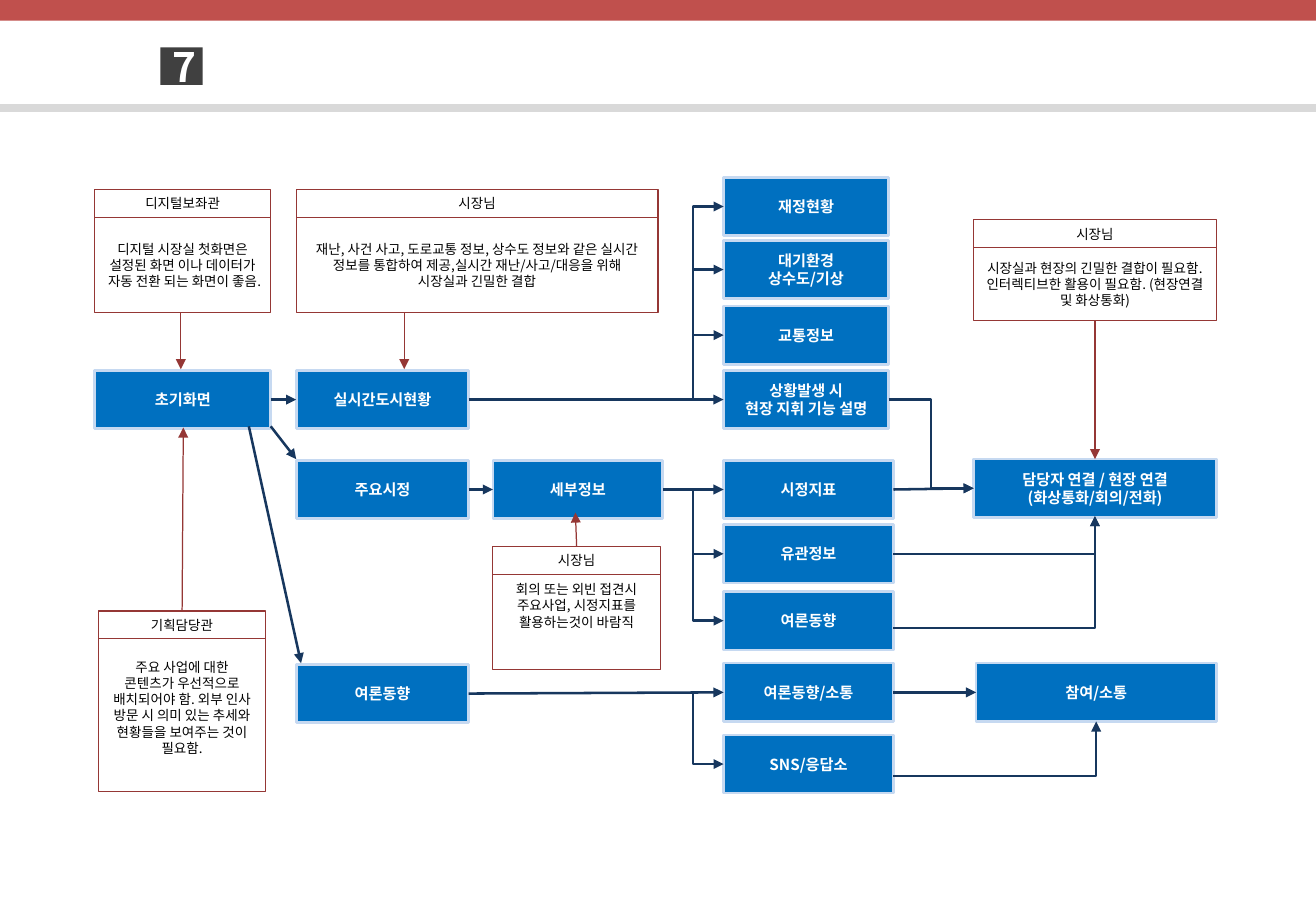
import pptx
import pptx.dml.color
import pptx.enum.shapes
import pptx.enum.text
import pptx.oxml.ns
import pptx.util
from dataclasses import dataclass
from lxml import etree

WIDTH, HEIGHT = 10.84, 7.5


@dataclass(frozen=True)
class Theme:
    font: str = "Noto Sans CJK KR"
    band: str = "C0504D"
    rule: str = "D9D9D9"
    badge: str = "404040"
    step: str = "0070C0"
    step_edge: str = "C6D9F1"
    flow: str = "17375E"
    note: str = "953735"
    light: str = "FFFFFF"
    dark: str = "000000"
    number_size: int = 24
    step_size: int = 9
    note_size: int = 8


THEME = Theme()
NUMBER = "7"

# Column: left, width
COLUMNS = {"start": (0.78, 1.45), "menu": (2.44, 1.42), "detail": (4.06, 1.4),
           "city": (5.96, 1.36), "topic": (5.96, 1.4),
           "contact": (8.02, 2), "join": (8.04, 1.98)}
STEP_H, HEAD_H = 0.48, 0.23
TRUNK = 5.71

# Step: column, top, lines
STEPS = {
    "start": ("start", 3.05, ["초기화면"]),
    "realtime": ("menu", 3.05, ["실시간도시현황"]),
    "policy": ("menu", 3.79, ["주요시정"]),
    "opinion": ("menu", 5.47, ["여론동향"]),
    "detail": ("detail", 3.79, ["세부정보"]),
    "finance": ("city", 1.46, ["재정현황"]),
    "air": ("city", 1.98, ["대기환경", "상수도/기상"]),
    "traffic": ("city", 2.52, ["교통정보"]),
    "incident": ("city", 3.05, ["상황발생 시", "현장 지휘 기능 설명"]),
    "index": ("topic", 3.79, ["시정지표"]),
    "related": ("topic", 4.32, ["유관정보"]),
    "trend": ("topic", 4.87, ["여론동향"]),
    "talk": ("topic", 5.46, ["여론동향/소통"]),
    "sns": ("topic", 6.05, ["SNS/응답소"]),
    "contact": ("contact", 3.78, ["담당자 연결 / 현장 연결", "(화상통화/회의/전화)"]),
    "join": ("join", 5.46, ["참여/소통"]),
}

# Note: left, top, width, body height, bottom inset, heading, lines
NOTES = [
    (8.02, 1.81, 2, 0.6, 0.05, "시장님",
     ["시장실과 현장의 긴밀한 결합이 필요함.인터렉티브한 활용이 필요함. (현장연결 및 화상통화)"]),
    (0.78, 1.56, 1.45, 0.78, 0.05, "디지털보좌관",
     ["디지털 시장실 첫화면은 설정된 화면 이나 데이터가 자동 전환 되는 화면이 좋음."]),
    (2.44, 1.56, 2.98, 0.78, 0.05, "시장님",
     ["재난, 사건 사고, 도로교통 정보, 상수도 정보와 같은 실시간 정보를 통합하여 제공,"
      "실시간 재난/사고/대응을 위해 시장실과 긴밀한 결합"]),
    (4.06, 4.5, 1.38, 0.78, 0.32, "시장님",
     ["회의 또는 외빈 접견시", "주요사업, 시정지표를", "활용하는것이 바람직"]),
    (0.81, 5.03, 1.38, 1.26, 0.18, "기획담당관",
     ["주요 사업에 대한 콘텐츠가 우선적으로 배치되어야 함. 외부 인사 방문 시 의미 있는 "
      "추세와 현황들을 보여주는 것이 필요함."]),
]

STRAIGHT_FLOWS = [("start", "realtime"), ("realtime", "incident"), ("policy", "detail"),
                  ("detail", "index"), ("opinion", "talk"), ("index", "contact"),
                  ("talk", "join")]
SLANTED_FLOWS = [((2.23, 3.51), (2.44, 3.78)), ((2.05, 3.51), (2.48, 5.46))]
BRANCHES = {"incident": ["finance", "air", "traffic"], "index": ["related", "trend"],
            "talk": ["sns"]}
# Return: start height, end
RETURNS = [(4.56, (9.02, 4.25)), (5.17, (9.02, 4.25)), (6.39, (9.03, 5.94))]
NOTE_ARROWS = [((9.02, 2.64), (9.02, 3.78)), ((3.33, 2.57), (3.33, 3.04)),
               ((1.49, 2.57), (1.49, 3.04)), ((4.75, 4.5), (4.74, 4.22)),
               ((1.5, 5.03), (1.51, 3.52))]

inch = pptx.util.Inches
LINE = pptx.enum.shapes.MSO_CONNECTOR.STRAIGHT
ELBOW = pptx.enum.shapes.MSO_CONNECTOR.ELBOW


def rgb(value):
    return pptx.dml.color.RGBColor.from_string(value)


def qn(tag):
    return pptx.oxml.ns.qn(tag)


def write(sp, lines, size, color, bold=False, bottom=0.05):
    tf = sp.text_frame
    tf.word_wrap = True
    tf.auto_size = pptx.enum.text.MSO_AUTO_SIZE.NONE
    tf.vertical_anchor = pptx.enum.text.MSO_ANCHOR.MIDDLE
    tf.margin_left = tf.margin_right = inch(0.1)
    tf.margin_top, tf.margin_bottom = inch(0.05), inch(bottom)
    tf.text = "\n".join(lines)
    for p in tf.paragraphs:
        p.alignment = pptx.enum.text.PP_ALIGN.CENTER
        p.font.size, p.font.bold = pptx.util.Pt(size), bold
        p.font.color.rgb = rgb(color)
        p.font.name = THEME.font
        latin = p._p.pPr.find(qn("a:defRPr")).find(qn("a:latin"))
        ea = etree.Element(qn("a:ea"), typeface=THEME.font)
        latin.addnext(ea)


def add_box(slide, left, top, width, height, fill=None, edge=None, weight=0.75):
    sp = slide.shapes.add_shape(pptx.enum.shapes.MSO_SHAPE.RECTANGLE,
                                inch(left), inch(top), inch(width), inch(height))
    sp.shadow.inherit = False
    if fill:
        sp.fill.solid()
        sp.fill.fore_color.rgb = rgb(fill)
    else:
        sp.fill.background()
    if edge:
        sp.line.color.rgb = rgb(edge)
        sp.line.width = pptx.util.Pt(weight)
    else:
        sp.line.fill.background()
    return sp


def add_line(slide, start, end, color, weight, kind=LINE, arrow=True):
    cxn = slide.shapes.add_connector(kind, *map(inch, (*start, *end)))
    cxn.line.color.rgb = rgb(color)
    cxn.line.width = pptx.util.Pt(weight)
    props = cxn._element.spPr
    if arrow:
        etree.SubElement(props.find(qn("a:ln")), qn("a:tailEnd"), type="triangle")
    etree.SubElement(props, qn("a:effectLst"))
    if kind == ELBOW:
        props.find(qn("a:prstGeom")).set("prst", "bentConnector2")
    return cxn


def add_flow(slide, start, end, kind=LINE):
    return add_line(slide, start, end, THEME.flow, 1.5, kind)


def add_branch(slide, start, end):
    """Elbow that runs vertically first: a turned one-corner connector."""
    (x1, y1), (x2, y2) = start, end
    cx, cy = (x1 + x2) / 2, (y1 + y2) / 2
    half_w = abs(y2 - y1) / 2
    half_h = (x2 - x1) / 2 * (1 if y2 > y1 else -1)
    cxn = add_flow(slide, (cx + half_w, cy - half_h), (cx - half_w, cy + half_h), ELBOW)
    turn = 270 if y2 > y1 else 90
    cxn._element.spPr.find(qn("a:xfrm")).set("rot", str(turn * 60000))


def left_mid(step):
    column, top, _ = STEPS[step]
    return COLUMNS[column][0], top + STEP_H / 2


def right_mid(step):
    column, top, _ = STEPS[step]
    return sum(COLUMNS[column]), top + STEP_H / 2


def add_header(slide):
    add_box(slide, 0, 0, WIDTH, 0.17, THEME.band)
    add_line(slide, (0, 0.89), (WIDTH, 0.89), THEME.rule, 4.5, arrow=False)
    title = slide.shapes.title
    title.left, title.top, title.width, title.height = map(inch, (1.32, 0.39, 0.35, 0.31))
    title.fill.solid()
    title.fill.fore_color.rgb = rgb(THEME.badge)
    write(title, [NUMBER], THEME.number_size, THEME.light, True)


def main():
    prs = pptx.Presentation()
    prs.slide_width, prs.slide_height = inch(WIDTH), inch(HEIGHT)
    slide = prs.slides.add_slide(prs.slide_layouts[5])
    add_header(slide)
    for column, top, lines in STEPS.values():
        left, width = COLUMNS[column]
        sp = add_box(slide, left, top, width, STEP_H, THEME.step, THEME.step_edge, 1.5)
        write(sp, lines, THEME.step_size, THEME.light, True)
    for left, top, width, height, bottom, heading, lines in NOTES:
        sp = add_box(slide, left, top, width, HEAD_H, edge=THEME.note)
        write(sp, [heading], THEME.note_size, THEME.dark)
        sp = add_box(slide, left, top + HEAD_H, width, height, edge=THEME.note)
        write(sp, lines, THEME.note_size, THEME.dark, bottom=bottom)
    for source, target in STRAIGHT_FLOWS:
        add_flow(slide, right_mid(source), left_mid(target))
    for start, end in SLANTED_FLOWS:
        add_flow(slide, start, end)
    for trunk_step, targets in BRANCHES.items():
        for target in targets:
            add_branch(slide, (TRUNK, left_mid(trunk_step)[1]), left_mid(target))
    for y, end in RETURNS:
        add_flow(slide, (right_mid("related")[0], y), end, ELBOW)
    bend = add_flow(slide, right_mid("incident"), left_mid("contact"), ELBOW)
    bend._element.spPr.find(qn("a:prstGeom")).set("prst", "bentConnector3")
    for start, end in NOTE_ARROWS:
        add_line(slide, start, end, THEME.note, 0.75)
    prs.save("out.pptx")


if __name__ == "__main__":
    main()
